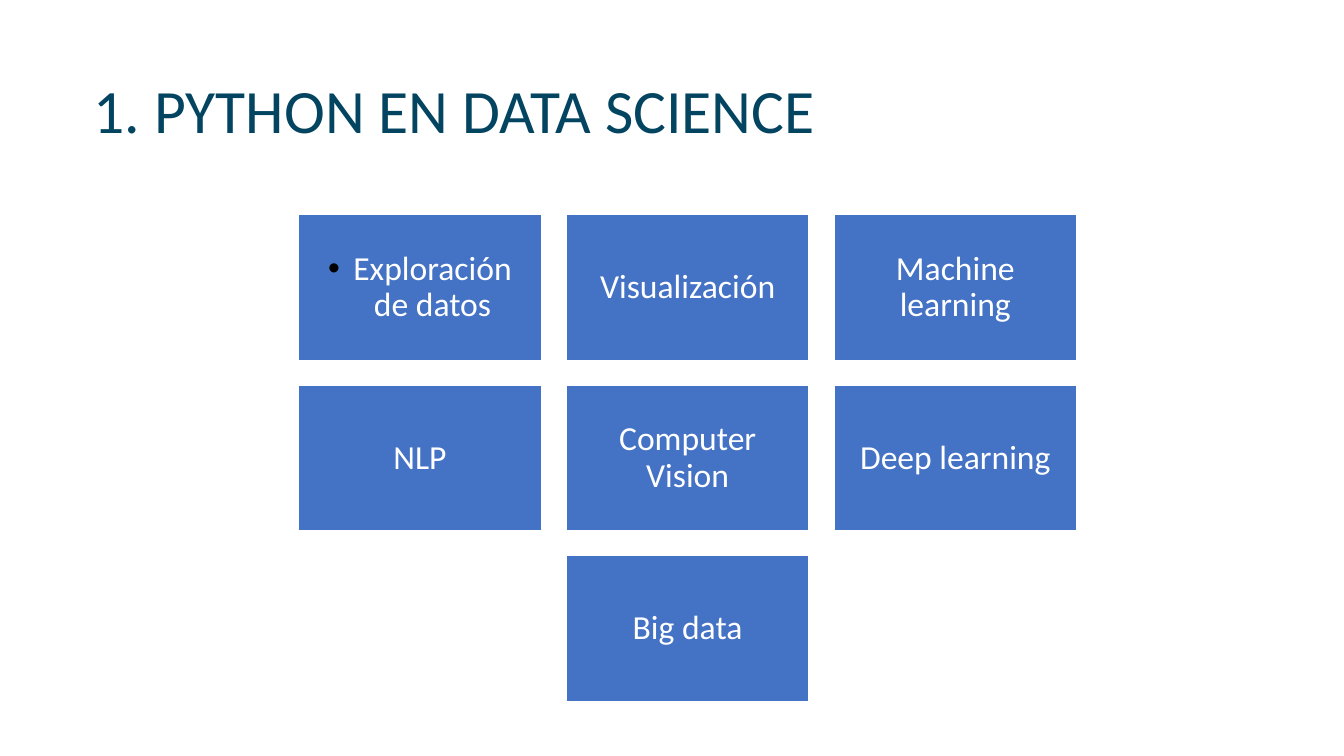
from lxml.etree import SubElement
from pptx import Presentation
from pptx.dml.color import RGBColor
from pptx.enum.shapes import MSO_SHAPE
from pptx.enum.text import MSO_ANCHOR, MSO_AUTO_SIZE, PP_ALIGN
from pptx.oxml.ns import qn
from pptx.util import Inches, Pt

COLORS = {"title": "034461", "tile": "4472C4", "white": "FFFFFF", "bullet": "000000"}
TOPICS = ["Exploración de datos", "Visualización", "Machine learning",
          "NLP", "Computer Vision", "Deep learning", "Big data"]
BULLETED_TOPIC = "Exploración de datos"
COLUMNS = 3
TILE_WIDTH, TILE_HEIGHT = 2.41, 1.45


def color(name):
    return RGBColor.from_string(COLORS[name])


def add_bullet(para):
    """Give the paragraph a hanging bullet."""
    properties = para._p.get_or_add_pPr()
    properties.set("marL", str(Inches(0.25)))
    properties.set("indent", str(-Inches(0.25)))
    bullet_color = SubElement(properties, qn("a:buClr"))
    SubElement(bullet_color, qn("a:srgbClr"), val=COLORS["bullet"])
    SubElement(properties, qn("a:buFont"), typeface="Arial")
    SubElement(properties, qn("a:buChar"), char="•")


def write_text(shape, text, size, color_name, align, inset, bullet=False):
    frame = shape.text_frame
    frame_format = {"word_wrap": True, "auto_size": MSO_AUTO_SIZE.NONE,
                    "vertical_anchor": MSO_ANCHOR.MIDDLE}
    frame_format.update({f"margin_{side}": Inches(inset)
                         for side in ("left", "top", "right", "bottom")})
    for name, value in frame_format.items():
        setattr(frame, name, value)

    para = frame.paragraphs[0]
    para.alignment = align
    para.line_spacing = 0.9
    if bullet:
        add_bullet(para)
    span = para.add_run()
    span.text = text
    for name, value in {"name": "Calibri", "size": Pt(size), "bold": False}.items():
        setattr(span.font, name, value)
    span.font.color.rgb = color(color_name)


def place_title(page, left, top, width, height):
    title = page.shapes.title
    position = {"left": left, "top": top, "width": width, "height": height}
    for name, value in position.items():
        setattr(title, name, Inches(value))
    write_text(title, "1. PYTHON EN DATA SCIENCE", 44, "title", PP_ALIGN.LEFT, 0.01)


def add_tile(page, text, left, top):
    tile = page.shapes.add_shape(MSO_SHAPE.RECTANGLE, Inches(left), Inches(top),
                                 Inches(TILE_WIDTH), Inches(TILE_HEIGHT))
    tile.shadow.inherit = False
    tile.fill.solid()
    tile.fill.fore_color.rgb = color("tile")
    tile.line.color.rgb = color("white")
    tile.line.width = Pt(1)
    write_text(tile, text, 24, "white", PP_ALIGN.CENTER, 0.1,
               bullet=text == BULLETED_TOPIC)


def add_topic_grid(page, left, top, width, height):
    """Fill the box row by row, centring a row that is not full."""
    row_count = -(-len(TOPICS) // COLUMNS)
    step_x = (width - TILE_WIDTH) / (COLUMNS - 1)
    step_y = (height - TILE_HEIGHT) / (row_count - 1)
    for row in range(row_count):
        topics = TOPICS[row * COLUMNS:(row + 1) * COLUMNS]
        row_left = left + (COLUMNS - len(topics)) * step_x / 2
        for column, topic in enumerate(topics):
            add_tile(page, topic, row_left + column * step_x, top + row * step_y)


def main():
    deck = Presentation()
    deck.slide_width, deck.slide_height = Inches(13.33), Inches(7.5)
    title_only = deck.slide_layouts[5]
    page = deck.slides.add_slide(title_only)

    # Heading
    place_title(page, 0.92, 0.4, 9.9, 1.45)
    # Topic tiles
    add_topic_grid(page, 2.96, 2.13, 7.72, 4.83)

    deck.save("out.pptx")


if __name__ == "__main__":
    main()
